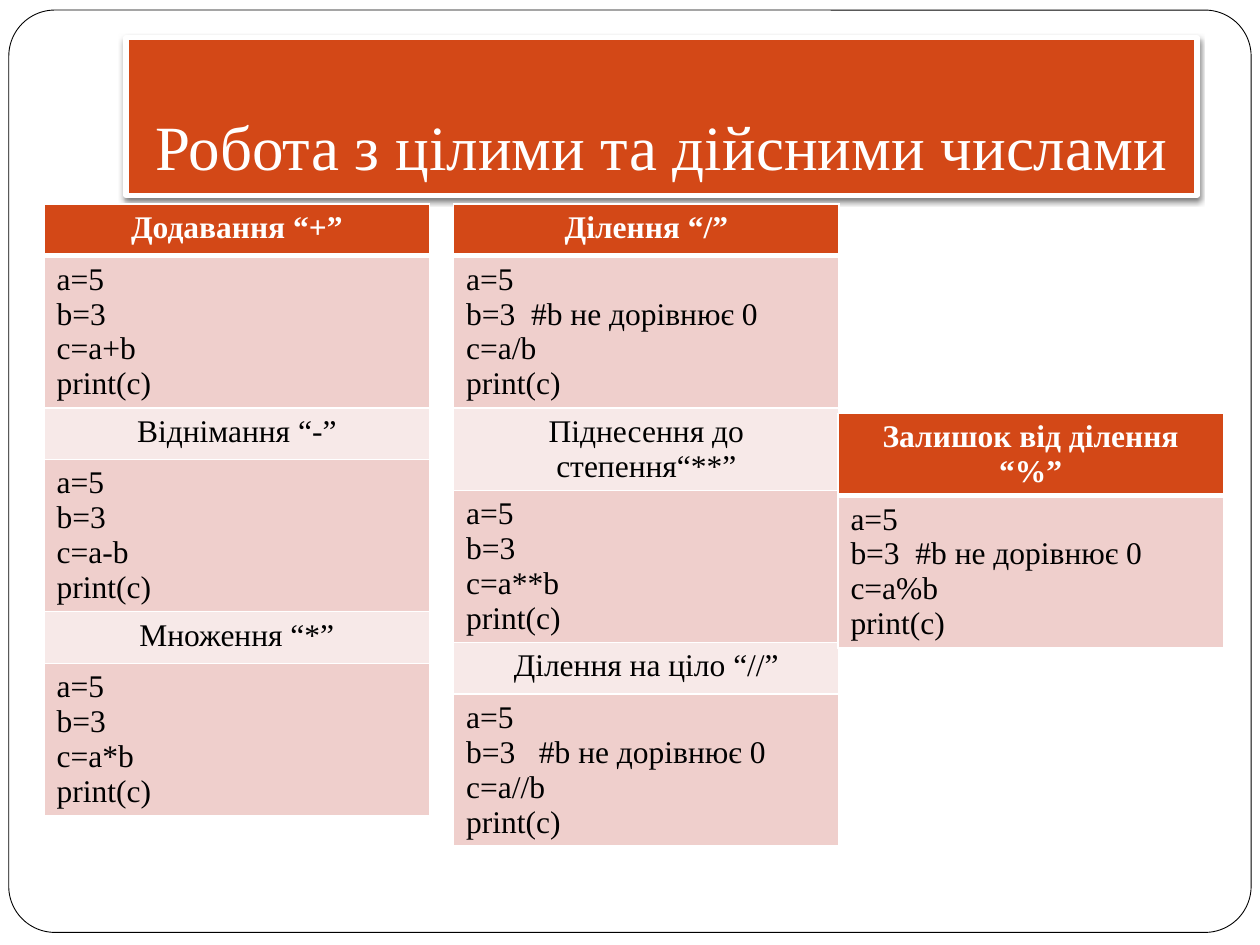
from dataclasses import dataclass

from lxml import etree
from pptx import Presentation
from pptx.dml.color import RGBColor
from pptx.enum import shapes, text
from pptx.oxml import ns
from pptx.util import Inches, Pt


@dataclass(frozen=True)
class Theme:
    font: str = "Times New Roman"
    title_size: int = 36
    table_size: int = 18
    accent: str = "D34817"
    code_band: str = "EFCFCC"
    heading_band: str = "F7E9E8"
    light: str = "FFFFFF"
    dark: str = "000000"


THEME = Theme()
COLUMN_WIDTH = 3.06
ROW_HEIGHT = 0.41
NONZERO = "b=3  #b не дорівнює 0"

OPERATION_TABLES = [
    (0.35, 1.62, [
        ("Додавання “+”", "b=3", "+"),
        ("Віднімання “-”", "b=3", "-"),
        ("Множення “*”", "b=3", "*"),
    ]),
    (3.6, 1.62, [
        ("Ділення “/”", NONZERO, "/"),
        ("Піднесення до степення“**”", "b=3", "**"),
        ("Ділення на ціло “//”", "b=3   #b не дорівнює 0", "//"),
    ]),
    (6.65, 3.28, [("Залишок від ділення “%”", NONZERO, "%")]),
]


def rgb(color):
    return RGBColor.from_string(color)


def add_color(parent, color):
    return etree.SubElement(parent, ns.qn("a:srgbClr"), val=color)


def paint(shape, fill, line, width):
    shape.fill.solid()
    shape.fill.fore_color.rgb = rgb(fill)
    shape.line.color.rgb = rgb(line)
    shape.line.width = Pt(width)
    shape.shadow.inherit = False


def write(frame, words, size, color, align, bold=False):
    frame.text = words
    for paragraph in frame.paragraphs:
        paragraph.alignment = align
        for run in paragraph.runs:
            run.font.name = THEME.font
            run.font.size = Pt(size)
            run.font.bold = bold
            run.font.color.rgb = rgb(color)


def add_frame(slide):
    frame = slide.shapes.add_shape(
        shapes.MSO_SHAPE.ROUNDED_RECTANGLE,
        Inches(0.07), Inches(0.08), Inches(9.86), Inches(7.32))
    frame.adjustments[0] = 0.05
    paint(frame, THEME.light, THEME.dark, 0.5)
    slide.shapes._spTree.insert(2, frame._element)


def add_drop_shadow(shape):
    effects = shape._element.spPr.find(ns.qn("a:effectLst"))
    shadow = etree.SubElement(
        effects, ns.qn("a:outerShdw"), blurRad=str(Pt(3)), dist=str(Pt(2)),
        dir="5400000", algn="tl", rotWithShape="0")
    etree.SubElement(add_color(shadow, THEME.dark), ns.qn("a:alpha"), val="50000")


def format_title(title, words):
    title.left, title.top = Inches(1), Inches(0.3)
    title.width, title.height = Inches(8.5), Inches(1.25)
    paint(title, THEME.accent, THEME.light, 3)
    add_drop_shadow(title)
    frame = title.text_frame
    frame.auto_size = text.MSO_AUTO_SIZE.NONE
    frame.vertical_anchor = text.MSO_ANCHOR.BOTTOM
    frame.margin_left = frame.margin_right = frame.margin_bottom = Inches(0.1)
    frame.margin_top = Inches(0.05)
    write(frame, words, THEME.title_size, THEME.light, text.PP_ALIGN.CENTER)


def set_borders(cell, top, bottom):
    properties = cell._tc.get_or_add_tcPr()
    sides = (("a:lnL", 1), ("a:lnR", 1), ("a:lnT", top), ("a:lnB", bottom))
    for index, (side, width) in enumerate(sides):
        border = etree.Element(ns.qn(side), w=str(Pt(width)))
        add_color(etree.SubElement(border, ns.qn("a:solidFill")), THEME.light)
        properties.insert(index, border)


def fill_cell(cell, row, words):
    is_header, is_code = row == 0, row % 2 == 1
    band = THEME.code_band if is_code else THEME.heading_band
    cell.fill.solid()
    cell.fill.fore_color.rgb = rgb(THEME.accent if is_header else band)
    set_borders(cell, 3 if row == 1 else 1, 3 if is_header else 1)
    write(cell.text_frame, words, THEME.table_size,
          THEME.light if is_header else THEME.dark,
          text.PP_ALIGN.LEFT if is_code else text.PP_ALIGN.CENTER, is_header)


def add_operation_table(slide, left, top, operations):
    entries = []
    for heading, divisor, operator in operations:
        entries += [heading, f"а=5\n{divisor}\nc=а{operator}b\nprint(c)"]
    table = slide.shapes.add_table(
        len(entries), 1, Inches(left), Inches(top),
        Inches(COLUMN_WIDTH), Inches(ROW_HEIGHT * len(entries))).table
    for row, words in enumerate(entries):
        table.rows[row].height = Inches(ROW_HEIGHT)
        fill_cell(table.cell(row, 0), row, words)


def main():
    deck = Presentation()
    deck.slide_width, deck.slide_height = Inches(10), Inches(7.5)
    slide = deck.slides.add_slide(deck.slide_layouts[5])
    add_frame(slide)
    format_title(slide.shapes.title, "Робота з цілими та дійсними числами")
    for left, top, operations in OPERATION_TABLES:
        add_operation_table(slide, left, top, operations)
    deck.save("out.pptx")


if __name__ == "__main__":
    main()
